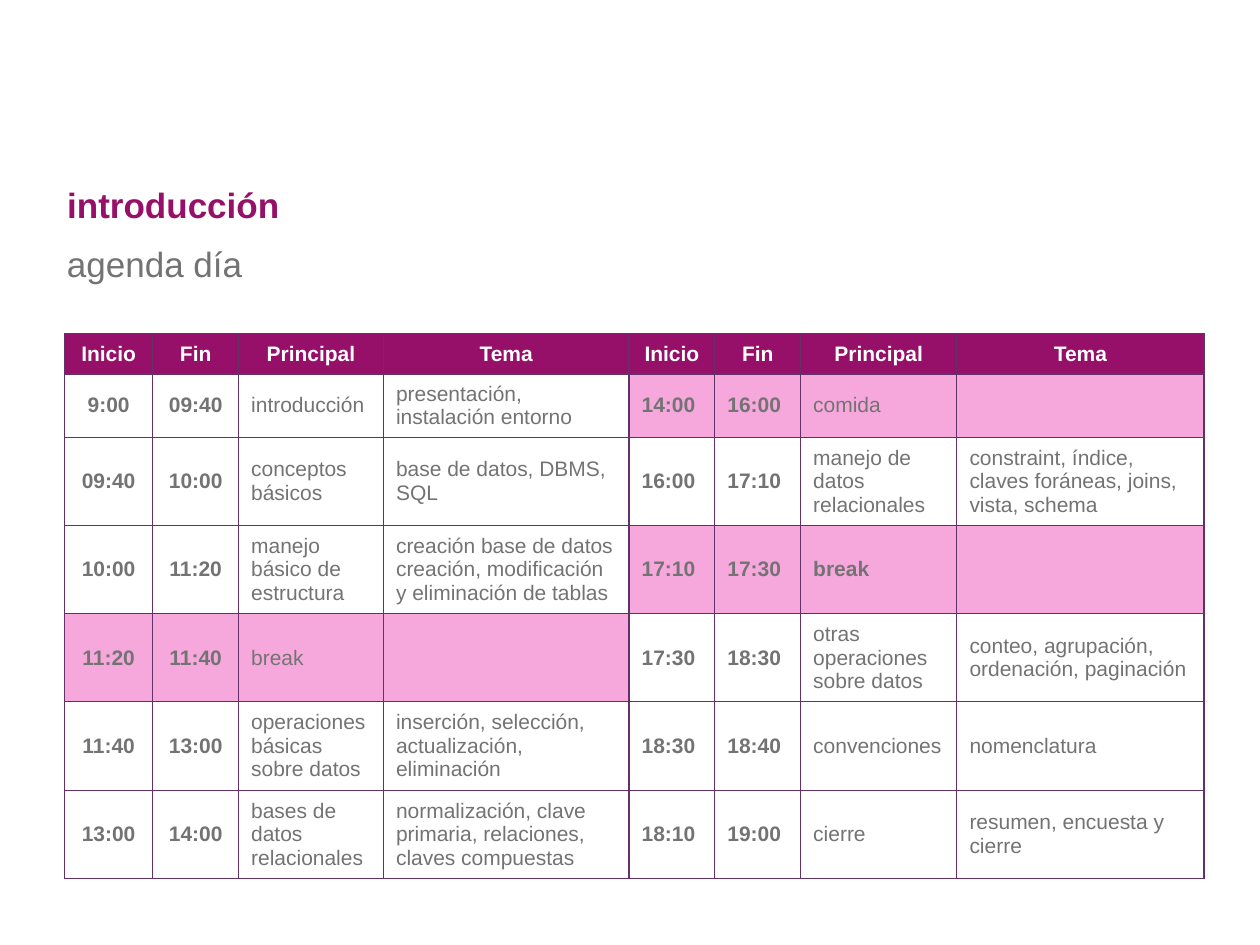
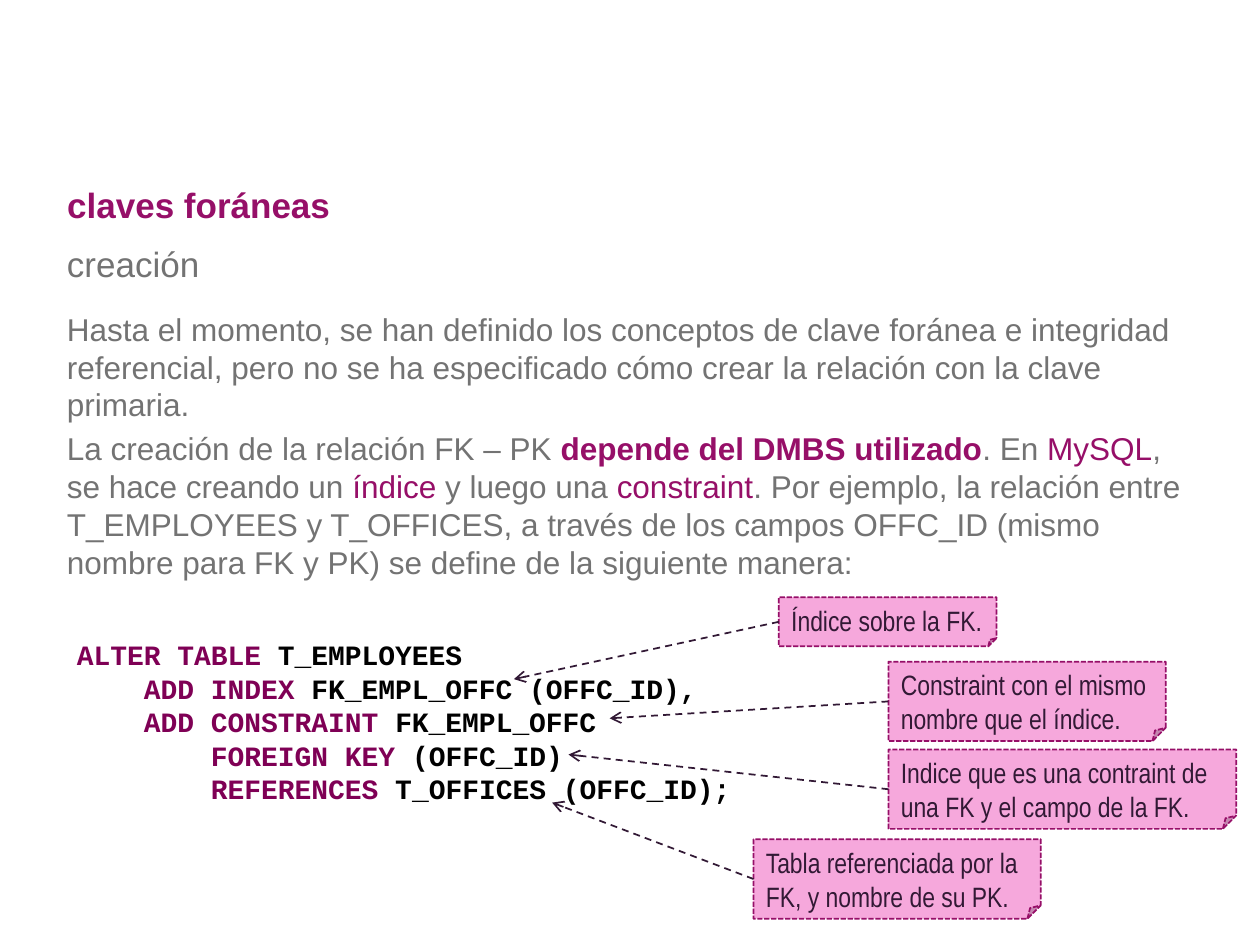
"""Build the agenda and foreign-key slides of a database course."""
from lxml import etree
from pptx import Presentation
from pptx import util as u
from pptx.dml.color import RGBColor
from pptx.enum import dml, shapes, text
from pptx.oxml import ns

COLORS = {"plum": "960F68", "gray": "737373", "pink": "F6A8DC", "white": "FFFFFF",
          "border": "633068", "ink": "321935", "keyword": "7F0055", "black": "000000"}
RUN_STYLES = {
    "accent": {"color": "plum"},
    "strong": {"color": "plum", "bold": True},
    "bold": {"bold": True},
    "key": {"color": "keyword"},
}

HEADINGS = ["Inicio", "Fin", "Principal", "Tema"]
MORNING = [
    ("9:00", "09:40", "introducción", ["presentación, instalación entorno"]),
    ("09:40", "10:00", "conceptos básicos", ["base de datos, DBMS, SQL"]),
    ("10:00", "11:20", "manejo básico de estructura",
     ["creación base de datos", "creación, modificación y eliminación de tablas"]),
    ("11:20", "11:40", "break", []),
    ("11:40", "13:00", "operaciones básicas sobre datos",
     ["inserción, selección, actualización, eliminación"]),
    ("13:00", "14:00", "bases de datos relacionales",
     ["normalización, clave primaria, relaciones, claves compuestas"]),
]
AFTERNOON = [
    ("14:00", "16:00", "comida", []),
    ("16:00", "17:10", "manejo de datos relacionales",
     ["constraint, índice, claves foráneas, joins, vista, schema"]),
    ("17:10", "17:30", ("break", "bold"), []),
    ("17:30", "18:30", "otras operaciones sobre datos",
     ["conteo, agrupación, ordenación, paginación"]),
    ("18:30", "18:40", "convenciones", ["nomenclatura"]),
    ("18:10", "19:00", "cierre", ["resumen, encuesta y cierre"]),
]
COLUMN_WIDTHS = [1.78, 1.73, 2.92, 4.95, 1.73, 1.73, 3.15, 4.98]
ROW_HEIGHTS = [0.81, 1.2] + [1.68] * 5

EXPLANATION = [
    ["Hasta el momento, se han definido los conceptos de clave foránea e integridad "
     "referencial, pero no se ha especificado cómo crear la relación con la clave primaria."],
    ["La creación de la relación FK – PK ", ("depende del DMBS utilizado", "strong"), ". En ",
     ("MySQL", "accent"), ", se hace creando un ", ("índice", "accent"), " y luego una ",
     ("constraint", "accent"),
     ". Por ejemplo, la relación entre T_EMPLOYEES y T_OFFICES, a través de los campos "
     "OFFC_ID (mismo nombre para FK y PK) se define de la siguiente manera:"],
]
SQL = [
    [("ALTER TABLE", "key"), " T_EMPLOYEES"],
    ["    ", ("ADD INDEX ", "key"), "FK_EMPL_OFFC (OFFC_ID),"],
    ["    ", ("ADD CONSTRAINT ", "key"), "FK_EMPL_OFFC"],
    ["        ", ("FOREIGN KEY", "key"), " (OFFC_ID)"],
    ["        ", ("REFERENCES", "key"), " T_OFFICES (OFFC_ID);"],
]
NOTES = [
    ("Índice sobre la FK.", (15.7, 12.04, 4.39, 0.99), (10.36, 13.69)),
    ("Constraint con el mismo nombre que el índice.", (17.91, 13.34, 5.59, 1.6), (12.29, 14.48)),
    ("Indice que es una contraint de una FK y el campo de la FK.",
     (17.91, 15.11, 7.01, 1.6), (11.46, 15.21)),
    ("Tabla referenciada por la FK, y nombre de su PK.",
     (15.19, 16.92, 5.79, 1.6), (11.13, 16.18)),
]


def rgb(color):
    return RGBColor.from_string(COLORS[color])


def cm(values):
    return [u.Cm(value) for value in values]


def write(frame, paragraphs, size=12, font="Arial", color="gray", bold=False,
          align=text.PP_ALIGN.LEFT, gap=0):
    """Fill a text frame with paragraphs of plain or (text, style) runs."""
    for index, runs in enumerate(paragraphs):
        paragraph = frame.add_paragraph() if index else frame.paragraphs[0]
        paragraph.alignment = align
        paragraph.space_before = u.Pt(gap if index else 0)
        for part in runs:
            words, style = (part, None) if isinstance(part, str) else part
            look = {"color": color, "bold": bold, **RUN_STYLES.get(style, {})}
            run = paragraph.add_run()
            run.text = words
            run.font.name = font
            run.font.size = u.Pt(size)
            run.font.bold = look["bold"]
            run.font.color.rgb = rgb(look["color"])


def add_text(slide, place, paragraphs, anchor=text.MSO_ANCHOR.TOP, **look):
    frame = slide.shapes.add_textbox(*cm(place)).text_frame
    frame.word_wrap = True
    frame.vertical_anchor = anchor
    write(frame, paragraphs, **look)


def add_slide(deck, heading, subtitle):
    slide = deck.slides.add_slide(deck.slide_layouts[5])
    title = slide.shapes.title
    title.left, title.top, title.width, title.height = cm((1.1, 3.53, 23.01, 1.19))
    title.text_frame.auto_size = text.MSO_AUTO_SIZE.NONE
    title.text_frame.vertical_anchor = text.MSO_ANCHOR.MIDDLE
    write(title.text_frame, [[heading]], size=20, color="plum", bold=True)
    add_text(slide, (1.1, 4.72, 23.01, 1.19), [[subtitle]],
             anchor=text.MSO_ANCHOR.MIDDLE, size=20)
    return slide


def add_borders(cell):
    properties = cell._tc.get_or_add_tcPr()
    for index, side in enumerate(("lnL", "lnR", "lnT", "lnB")):
        border = etree.Element(ns.qn("a:" + side), w=str(u.Pt(0.75)))
        fill = etree.SubElement(border, ns.qn("a:solidFill"))
        etree.SubElement(fill, ns.qn("a:srgbClr"), val=COLORS["border"])
        properties.insert(index, border)


def fill_cell(cell, paragraphs, fill, **look):
    cell.fill.solid()
    cell.fill.fore_color.rgb = rgb(fill)
    cell.vertical_anchor = text.MSO_ANCHOR.MIDDLE
    write(cell.text_frame, paragraphs, **look)
    add_borders(cell)


def add_agenda(slide):
    agenda = slide.shapes.add_table(
        len(ROW_HEIGHTS), len(COLUMN_WIDTHS),
        *cm((1.3, 6.73, sum(COLUMN_WIDTHS), sum(ROW_HEIGHTS)))).table
    for column, width in zip(agenda.columns, COLUMN_WIDTHS):
        column.width = u.Cm(width)
    for row, height in zip(agenda.rows, ROW_HEIGHTS):
        row.height = u.Cm(height)
    for half, sessions in enumerate((MORNING, AFTERNOON)):
        first = half * len(HEADINGS)
        for offset, heading in enumerate(HEADINGS):
            fill_cell(agenda.cell(0, first + offset), [[heading]], "plum",
                      color="white", bold=True, align=text.PP_ALIGN.CENTER)
        time_align = text.PP_ALIGN.LEFT if half else text.PP_ALIGN.CENTER
        for row, (start, end, main_topic, details) in enumerate(sessions, 1):
            fill = "white" if details else "pink"
            for offset, time in enumerate((start, end)):
                fill_cell(agenda.cell(row, first + offset), [[time]], fill,
                          bold=True, align=time_align)
            fill_cell(agenda.cell(row, first + 2), [[main_topic]], fill)
            fill_cell(agenda.cell(row, first + 3), [[line] for line in details] or [[]], fill)


def add_note(slide, words, place, target):
    note = slide.shapes.add_shape(shapes.MSO_SHAPE.FOLDED_CORNER, *cm(place))
    note.shadow.inherit = False
    note.fill.solid()
    note.fill.fore_color.rgb = rgb("pink")
    note.line.color.rgb = rgb("plum")
    note.line.width = u.Pt(1)
    note.line.dash_style = dml.MSO_LINE.SQUARE_DOT
    frame = note.text_frame
    frame.word_wrap = True
    frame.margin_right = u.Cm(0.12)
    frame.vertical_anchor = text.MSO_ANCHOR.TOP
    write(frame, [[words]], size=16, font="Arial Narrow", color="ink")

    left, top, _, height = place
    arrow = slide.shapes.add_connector(
        shapes.MSO_CONNECTOR.STRAIGHT, *cm((left, top + height / 2, *target)))
    arrow.begin_connect(note, 1)
    arrow.line.color.rgb = rgb("ink")
    arrow.line.width = u.Pt(1)
    arrow.line.dash_style = dml.MSO_LINE.DASH
    etree.SubElement(arrow.line._get_or_add_ln(), ns.qn("a:tailEnd"), type="arrow")
    etree.SubElement(arrow._element.spPr, ns.qn("a:effectLst"))


def main():
    deck = Presentation()
    deck.slide_width, deck.slide_height = cm((25.4, 19.05))

    add_agenda(add_slide(deck, "introducción", "agenda día"))

    foreign_keys = add_slide(deck, "claves foráneas", "creación")
    add_text(foreign_keys, (1.1, 6.12, 23.3, 11.6), EXPLANATION, size=18, gap=3.6)
    add_text(foreign_keys, (1.3, 12.73, 14.33, 3.76), SQL,
             size=16, font="Courier New", color="black", bold=True)
    for note in NOTES:
        add_note(foreign_keys, *note)

    deck.save("out.pptx")


if __name__ == "__main__":
    main()
